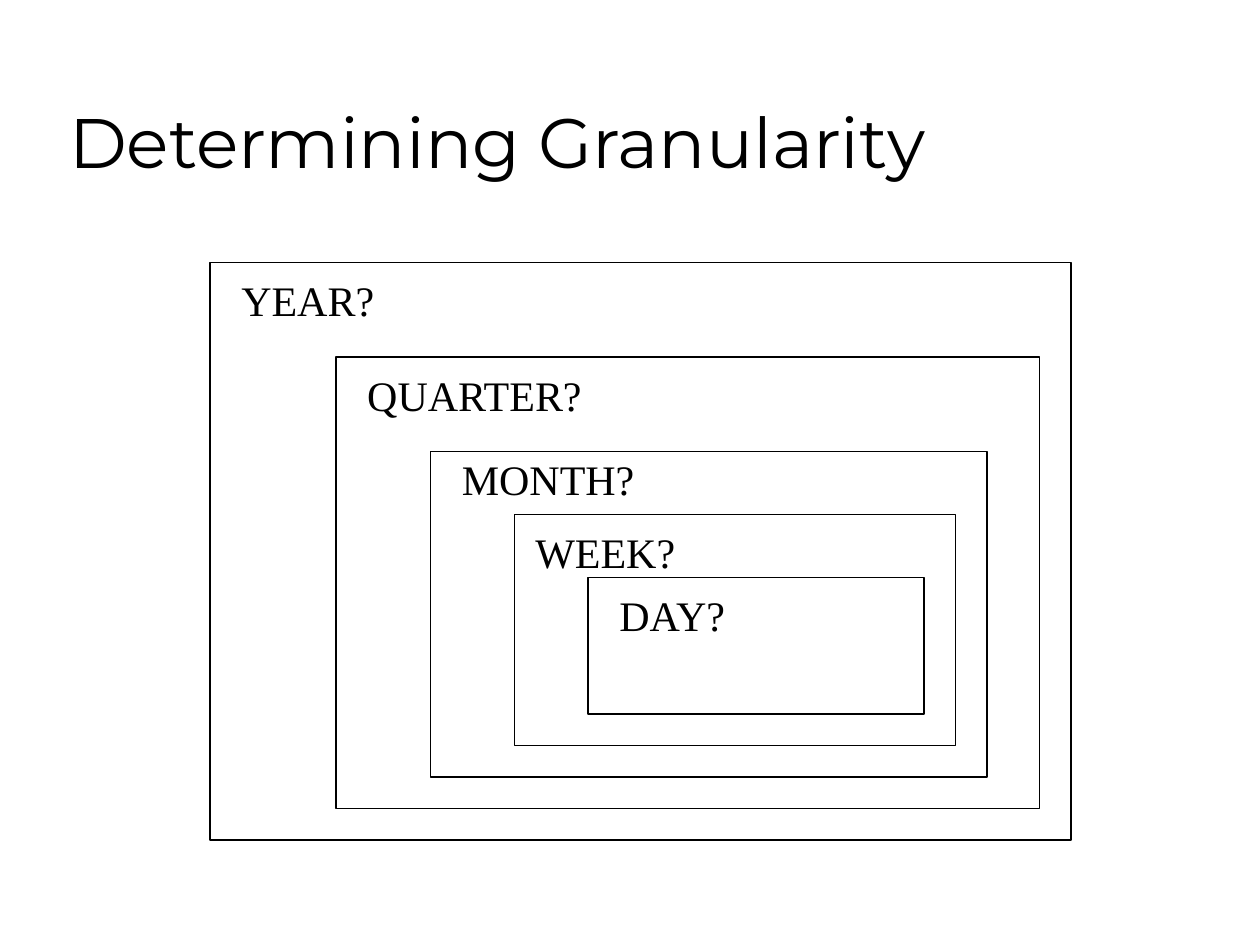
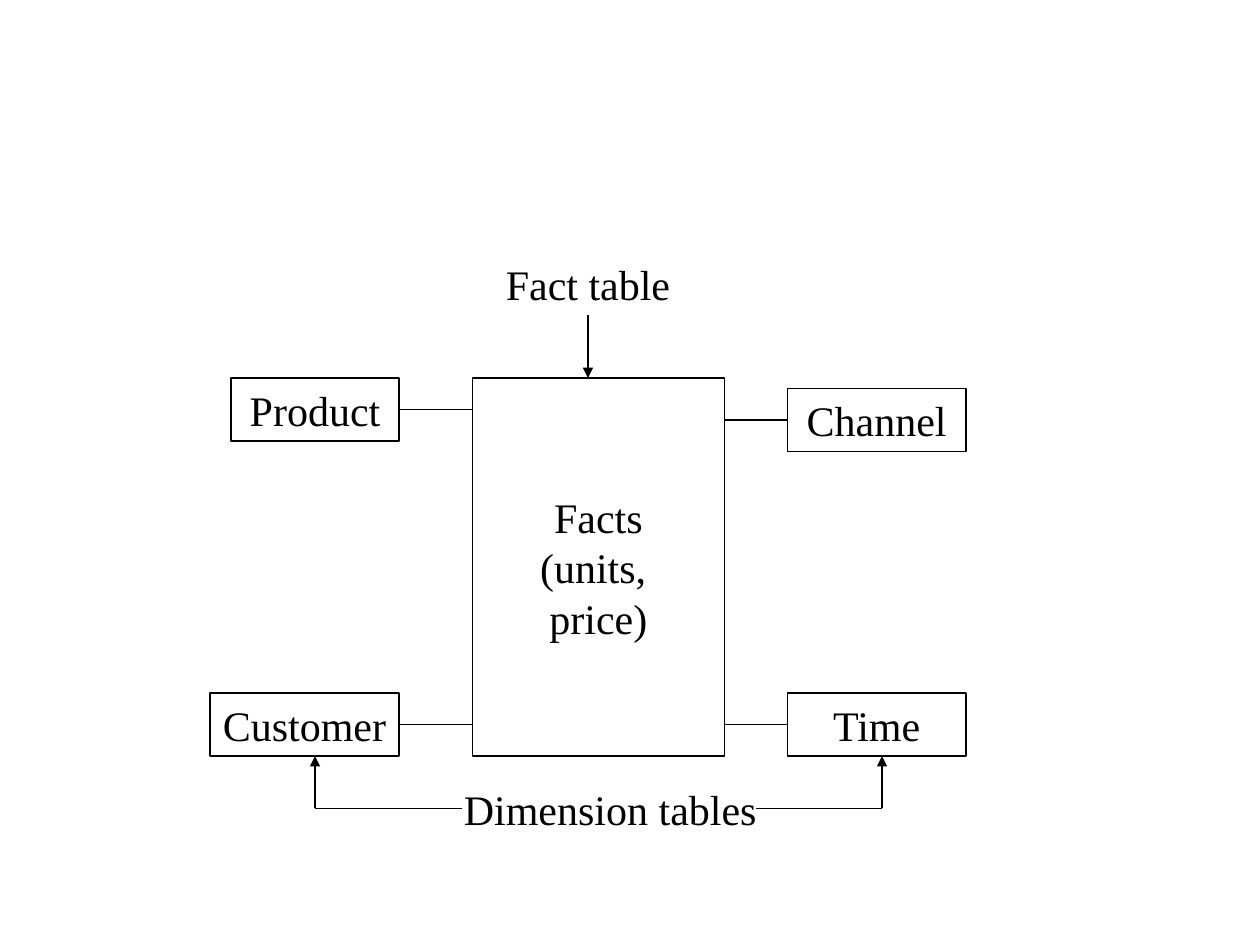
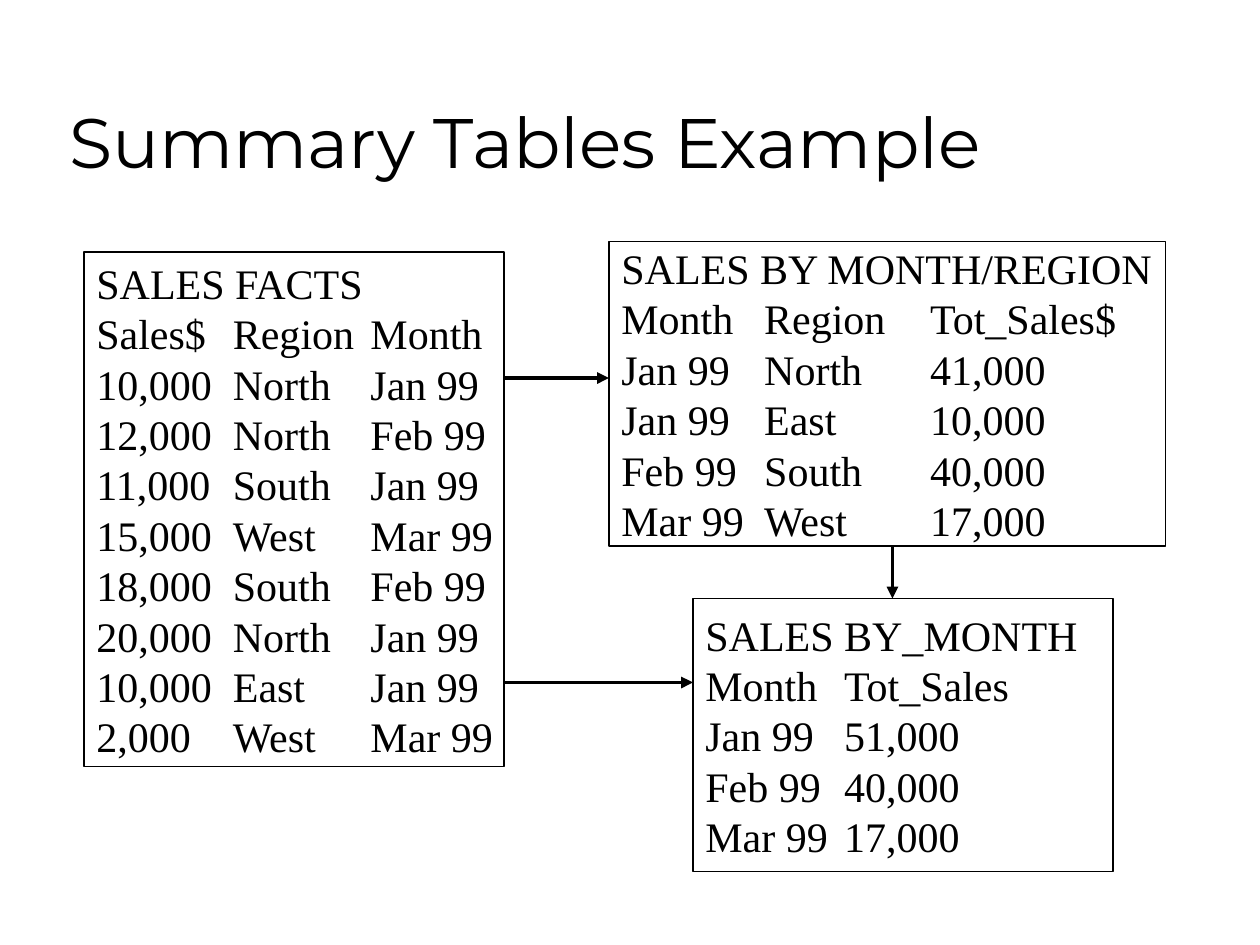
from dataclasses import dataclass

from lxml import etree
from pptx import Presentation
from pptx.dml.color import RGBColor
from pptx.enum.shapes import MSO_CONNECTOR, MSO_SHAPE
from pptx.enum.text import MSO_ANCHOR, PP_ALIGN
from pptx.oxml.ns import qn
from pptx.util import Emu, Pt

RECTANGLE = MSO_SHAPE.RECTANGLE
STRAIGHT = MSO_CONNECTOR.STRAIGHT
LEFT, CENTER = PP_ALIGN.LEFT, PP_ALIGN.CENTER
TOP, MIDDLE, BOTTOM = MSO_ANCHOR.TOP, MSO_ANCHOR.MIDDLE, MSO_ANCHOR.BOTTOM
SIDE_LEFT, SIDE_RIGHT = 1, 3

# Shared style: 120 px to the inch
EMU_PER_PX = 7620
INK = "000000"
BODY_FONT, TITLE_FONT = "Times New Roman", "Montserrat"
BODY_SIZE, TITLE_SIZE = 24, 40
BODY_LEADING = Pt(28.8)
THIN, THICK = 0.75, 2.25
INSET_X, INSET_Y = 12, 6
LABEL_HEIGHT = 60


@dataclass(frozen=True)
class Area:
    left: int
    top: int
    width: int
    height: int


@dataclass(frozen=True)
class Level:
    """One nested time frame with its label."""
    name: str
    frame: Area
    label_dx: int
    label_dy: int
    label_width: int


@dataclass(frozen=True)
class Dimension:
    """A dimension table, tied to the fact table at one side."""
    name: str
    area: Area
    side: int
    fact_x: int
    link_y: int


@dataclass(frozen=True)
class Listing:
    """A boxed listing whose columns stand on tab stops."""
    area: Area
    title: str
    rows: tuple
    stops: tuple


@dataclass(frozen=True)
class Stroke:
    start: tuple
    end: tuple
    arrow: bool = False
    weight: float = THIN


def px(value: int) -> Emu:
    return Emu(value * EMU_PER_PX)


def color(value: str) -> RGBColor:
    return RGBColor.from_string(value)


def apply(target, values: dict) -> None:
    for name, value in values.items():
        setattr(target, name, value)


def bounds(area: Area) -> tuple:
    return tuple(px(v) for v in (area.left, area.top, area.width, area.height))


def write(box, lines, align=LEFT, anchor=TOP, font=BODY_FONT, size=BODY_SIZE,
          leading=BODY_LEADING, stops=(), wrap=False, right=INSET_X) -> None:
    frame = box.text_frame
    apply(frame, {"word_wrap": wrap, "vertical_anchor": anchor,
                  "margin_left": px(INSET_X), "margin_right": px(right),
                  "margin_top": px(INSET_Y), "margin_bottom": px(INSET_Y)})
    for index, line in enumerate(lines):
        para = frame.add_paragraph() if index else frame.paragraphs[0]
        apply(para, {"alignment": align, "line_spacing": leading})
        if stops:
            tabs = etree.SubElement(para._p.get_or_add_pPr(), qn("a:tabLst"))
            for stop in stops:
                etree.SubElement(tabs, qn("a:tab"), pos=str(px(stop)), algn="l")
        span = para.add_run()
        span.text = line
        apply(span.font, {"name": font, "size": Pt(size)})
        span.font.color.rgb = color(INK)


def add_text(page, area: Area, text: str, **style) -> None:
    box = page.shapes.add_textbox(*bounds(area))
    write(box, [text], right=0, **style)


def add_title(page, text: str) -> None:
    add_text(page, Area(54, 30, 1020, 150), text, anchor=BOTTOM, font=TITLE_FONT,
             size=TITLE_SIZE, leading=1.0, wrap=True)


def add_box(page, area: Area, lines=(), **style):
    box = page.shapes.add_shape(RECTANGLE, *bounds(area))
    box.shadow.inherit = False
    box.fill.background()
    box.line.color.rgb = color(INK)
    box.line.width = Pt(THIN)
    if lines:
        write(box, lines, anchor=MIDDLE, **style)
    return box


def add_stroke(page, stroke: Stroke):
    points = (px(v) for v in stroke.start + stroke.end)
    link = page.shapes.add_connector(STRAIGHT, *points)
    link.line.color.rgb = color(INK)
    link.line.width = Pt(stroke.weight)
    if stroke.arrow:
        etree.SubElement(link.line._get_or_add_ln(), qn("a:tailEnd"), type="triangle")
    etree.SubElement(link._element.spPr, qn("a:effectLst"))
    return link


# Slide 1: nested time frames
LEVELS = (
    Level("YEAR?", Area(200, 250, 820, 550), 18, 6, 150),
    Level("QUARTER?", Area(320, 340, 670, 430), 18, 6, 230),
    Level("MONTH?", Area(410, 430, 530, 310), 18, -4, 188),
    Level("WEEK?", Area(490, 490, 420, 220), 8, 6, 157),
    Level("DAY?", Area(560, 550, 320, 130), 18, 6, 128),
)


def build_granularity(page) -> None:
    add_title(page, "Determining Granularity")
    for level in LEVELS:
        add_box(page, level.frame)
    for level in LEVELS:
        add_text(page, Area(level.frame.left + level.label_dx,
                            level.frame.top + level.label_dy,
                            level.label_width, LABEL_HEIGHT), level.name)


# Slide 2: star schema
FACTS = Area(450, 360, 240, 360)
FACTS_RIGHT = FACTS.left + FACTS.width
DIMENSIONS = (
    Dimension("Channel", Area(750, 370, 170, 60), SIDE_LEFT, FACTS_RIGHT, 400),
    Dimension("Time", Area(750, 660, 170, 60), SIDE_LEFT, FACTS_RIGHT, 690),
    Dimension("Product", Area(220, 360, 160, 60), SIDE_RIGHT, FACTS.left, 390),
    Dimension("Customer", Area(200, 660, 180, 60), SIDE_RIGHT, FACTS.left, 690),
)
POINTERS = (
    Stroke((560, 300), (560, 360), arrow=True),
    Stroke((720, 770), (840, 770)),
    Stroke((840, 770), (840, 720), arrow=True),
    Stroke((440, 770), (300, 770)),
    Stroke((300, 770), (300, 720), arrow=True),
)


def build_star_schema(page) -> None:
    add_box(page, FACTS, ("Facts", "(units, ", "price)"), align=CENTER)
    for dimension in DIMENSIONS:
        box = add_box(page, dimension.area, (dimension.name,), align=CENTER)
        start = (dimension.fact_x, dimension.link_y)
        add_stroke(page, Stroke(start, start)).end_connect(box, dimension.side)
    add_text(page, Area(470, 240, 180, LABEL_HEIGHT), "Fact table")
    add_text(page, Area(430, 740, 302, LABEL_HEIGHT), "Dimension tables")
    for pointer in POINTERS:
        add_stroke(page, pointer)


# Slide 3: summary tables
LISTINGS = (
    Listing(Area(80, 240, 400, 490), "SALES FACTS", (
        ("Sales$", "Region", "Month"),
        ("10,000", "North", "Jan 99"),
        ("12,000", "North", "Feb 99"),
        ("11,000", "South", "Jan 99"),
        ("15,000", "West", "Mar 99"),
        ("18,000", "South", "Feb 99"),
        ("20,000", "North", "Jan 99"),
        ("10,000", "East", "Jan 99"),
        ("2,000", "West", "Mar 99"),
    ), (130, 261)),
    Listing(Area(580, 230, 530, 290), "SALES BY MONTH/REGION", (
        ("Month", "Region", "Tot_Sales$"),
        ("Jan 99", "North", "41,000"),
        ("Jan 99", "East", "10,000"),
        ("Feb 99", "South", "40,000"),
        ("Mar 99", "West", "17,000"),
    ), (136, 294)),
    Listing(Area(660, 570, 400, 260), "SALES BY_MONTH", (
        ("Month", "Tot_Sales"),
        ("Jan 99", "51,000"),
        ("Feb 99", "40,000"),
        ("Mar 99", "17,000"),
    ), (132,)),
)
FLOWS = (
    Stroke((480, 650), (660, 650), True, THICK),
    Stroke((480, 360), (580, 360), True, THICK),
    Stroke((850, 520), (850, 570), True, THICK),
)


def build_summary_tables(page) -> None:
    add_title(page, "Summary Tables Example")
    for listing in LISTINGS:
        lines = [listing.title] + ["\t".join(row) for row in listing.rows]
        add_box(page, listing.area, lines, stops=listing.stops, wrap=True, right=0)
    for flow in FLOWS:
        add_stroke(page, flow)


def main() -> None:
    deck = Presentation()
    apply(deck, {"slide_width": px(1200), "slide_height": px(900)})
    blank = deck.slide_layouts[6]
    for build in (build_granularity, build_star_schema, build_summary_tables):
        build(deck.slides.add_slide(blank))
    deck.save("out.pptx")


if __name__ == "__main__":
    main()
